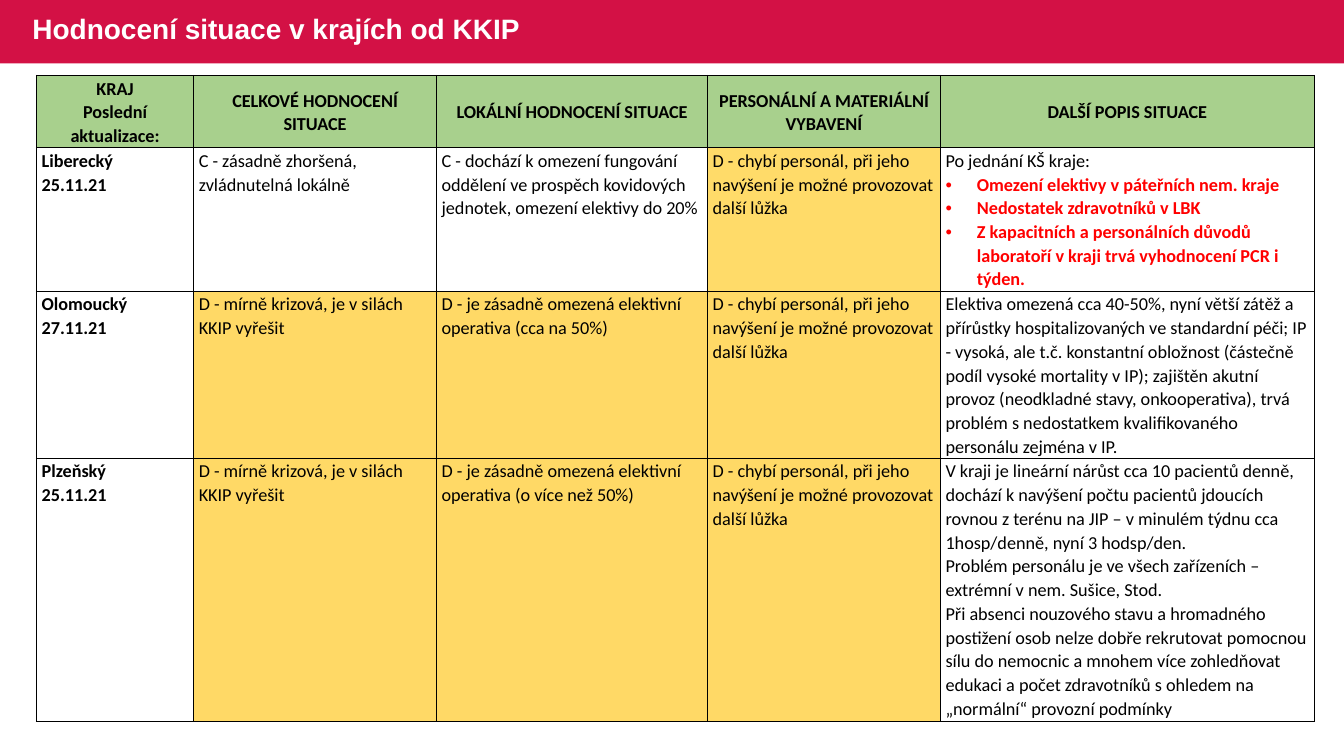
from lxml import etree
from pptx import Presentation
from pptx.dml.color import RGBColor
from pptx.enum.shapes import MSO_SHAPE
from pptx.enum.text import MSO_ANCHOR, MSO_AUTO_SIZE, PP_ALIGN
from pptx.oxml.ns import qn
from pptx.util import Cm, Pt

RECT = MSO_SHAPE.RECTANGLE
TOP, MIDDLE = MSO_ANCHOR.TOP, MSO_ANCHOR.MIDDLE
LEFT, CENTER = PP_ALIGN.LEFT, PP_ALIGN.CENTER
NO_FIT = MSO_AUTO_SIZE.NONE

CRIMSON = RGBColor(0xD3, 0x11, 0x45)
GREEN = RGBColor(0xA8, 0xD0, 0x8D)
AMBER = RGBColor(0xFF, 0xD9, 0x66)
LIGHT_AMBER = RGBColor(0xFF, 0xDB, 0x69)
RED = RGBColor(0xFF, 0x00, 0x00)
BLACK = RGBColor(0x00, 0x00, 0x00)
WHITE = RGBColor(0xFF, 0xFF, 0xFF)

COL_WIDTHS = [3.96, 6.12, 6.83, 5.87, 9.42]
ROW_HEIGHTS = [1.82, 3.62, 4.2, 6.63]

HEADERS = [
    ["KRAJ", "Poslední aktualizace:"],
    ["CELKOVÉ HODNOCENÍ SITUACE"],
    ["LOKÁLNÍ HODNOCENÍ SITUACE"],
    ["PERSONÁLNÍ A MATERIÁLNÍ VYBAVENÍ"],
    ["DALŠÍ POPIS SITUACE"],
]
MILD_CRISIS = "D - mírně krizová, je v silách KKIP vyřešit"
STAFF_SHORTAGE = "D - chybí personál, při jeho navýšení je možné provozovat další lůžka"
REGIONS = [
    {
        "name": ["Liberecký", "25.11.21"],
        "ratings": [
            ("C - zásadně zhoršená, zvládnutelná lokálně", WHITE),
            ("C - dochází k omezení fungování oddělení ve prospěch kovidových "
             "jednotek, omezení elektivy do 20%", WHITE),
            (STAFF_SHORTAGE, LIGHT_AMBER),
        ],
        "description": ["Po jednání KŠ kraje:"],
        "warnings": [
            "Omezení elektivy v páteřních nem. kraje",
            "Nedostatek zdravotníků v LBK",
            "Z kapacitních a personálních důvodů laboratoří v kraji trvá "
            "vyhodnocení PCR i týden.",
        ],
    },
    {
        "name": ["Olomoucký", "27.11.21"],
        "ratings": [
            (MILD_CRISIS, AMBER),
            ("D - je zásadně omezená elektivní operativa (cca na 50%)", AMBER),
            (STAFF_SHORTAGE, AMBER),
        ],
        "description": [
            "Elektiva omezená cca 40-50%, nyní větší zátěž a přírůstky "
            "hospitalizovaných ve standardní péči; IP - vysoká, ale t.č. "
            "konstantní obložnost (částečně podíl vysoké mortality v IP); "
            "zajištěn akutní provoz (neodkladné stavy, onkooperativa), trvá "
            "problém s nedostatkem kvalifikovaného personálu zejména v IP.",
        ],
        "warnings": [],
    },
    {
        "name": ["Plzeňský", "25.11.21"],
        "ratings": [
            (MILD_CRISIS, AMBER),
            ("D - je zásadně omezená elektivní operativa (o více než 50%)", AMBER),
            (STAFF_SHORTAGE, AMBER),
        ],
        "description": [
            "V kraji je lineární nárůst cca 10 pacientů denně, dochází k "
            "navýšení počtu pacientů jdoucích rovnou z terénu na JIP – v "
            "minulém týdnu cca 1hosp/denně, nyní 3 hodsp/den.",
            "Problém personálu je ve všech zařízeních – extrémní v nem. "
            "Sušice, Stod.",
            "Při absenci nouzového stavu a hromadného postižení osob nelze "
            "dobře rekrutovat pomocnou sílu do nemocnic a mnohem více "
            "zohledňovat edukaci a počet zdravotníků s ohledem na „normální“ "
            "provozní podmínky",
        ],
        "warnings": [],
    },
]


def write(tf, lines, size=13, font="Calibri", color=BLACK, bold=False,
          align=LEFT, spacing=1.07, bullet=False):
    for line in lines:
        p = tf.paragraphs[0]
        if p.runs:
            p = tf.add_paragraph()
        p.alignment = align
        p.line_spacing = spacing
        p.space_before = p.space_after = Pt(0)
        if bullet:
            pPr = p._p.get_or_add_pPr()
            pPr.set("marL", str(Cm(0.79)))
            pPr.set("indent", str(-Cm(0.79)))
            etree.SubElement(pPr, qn("a:buFont")).set("typeface", "Arial")
            etree.SubElement(pPr, qn("a:buChar")).set("char", "•")
        r = p.add_run()
        r.text = line
        r.font.size = Pt(size)
        r.font.name = font
        r.font.bold = bold
        r.font.color.rgb = color


def add_borders(cell):
    tcPr = cell._tc.get_or_add_tcPr()
    for i, side in enumerate(("a:lnL", "a:lnR", "a:lnT", "a:lnB")):
        ln = etree.Element(qn(side), w=str(Pt(1)))
        fill = etree.SubElement(ln, qn("a:solidFill"))
        etree.SubElement(fill, qn("a:srgbClr")).set("val", str(BLACK))
        tcPr.insert(i, ln)


def fill_cell(cell, lines, fill=WHITE, anchor=TOP, **fmt):
    cell.margin_left = cell.margin_right = Cm(0.13)
    cell.margin_top, cell.margin_bottom = Cm(0.02), Cm(0)
    cell.vertical_anchor = anchor
    cell.fill.solid()
    cell.fill.fore_color.rgb = fill
    add_borders(cell)
    write(cell.text_frame, lines, **fmt)


def add_title_band(s, text, left, top, width, height):
    band = s.shapes.add_shape(RECT, left, top, width, height)
    band.shadow.inherit = False
    band.fill.solid()
    band.fill.fore_color.rgb = CRIMSON
    band.line.fill.background()
    title = s.shapes.title
    title.element.addprevious(band.element)
    title.left, title.top = left + Cm(0.56), top - Cm(0.03)
    title.width, title.height = Cm(20.68), height
    tf = title.text_frame
    tf.word_wrap = True
    tf.auto_size = NO_FIT
    tf.vertical_anchor = MIDDLE
    write(tf, [text], size=20, font="Arial", color=WHITE, bold=True, spacing=0.9)


def add_region_table(s, left, top, width, height):
    table = s.shapes.add_table(len(ROW_HEIGHTS), len(COL_WIDTHS),
                               left, top, width, height).table
    table.first_row = table.horz_banding = False
    for col, share in zip(table.columns, COL_WIDTHS):
        col.width = int(width * share / sum(COL_WIDTHS))
    for row, share in zip(table.rows, ROW_HEIGHTS):
        row.height = int(height * share / sum(ROW_HEIGHTS))
    for c, lines in enumerate(HEADERS):
        fill_cell(table.cell(0, c), lines, GREEN, MIDDLE, bold=True, align=CENTER)
    for r, region in enumerate(REGIONS, 1):
        fill_cell(table.cell(r, 0), region["name"], bold=True)
        for c, (rating, fill) in enumerate(region["ratings"], 1):
            fill_cell(table.cell(r, c), [rating], fill)
        description = table.cell(r, 4)
        fill_cell(description, region["description"])
        write(description.text_frame, region["warnings"],
              color=RED, bold=True, bullet=True)


def main():
    prs = Presentation()
    prs.slide_width, prs.slide_height = Cm(33.87), Cm(19.05)
    s = prs.slides.add_slide(prs.slide_layouts[5])
    add_title_band(s, "Hodnocení situace v krajích od KKIP",
                   Cm(0), Cm(0), prs.slide_width, Cm(1.6))
    add_region_table(s, Cm(0.92), Cm(1.9),
                     Cm(sum(COL_WIDTHS)), Cm(sum(ROW_HEIGHTS)))
    prs.save("out.pptx")


if __name__ == "__main__":
    main()
